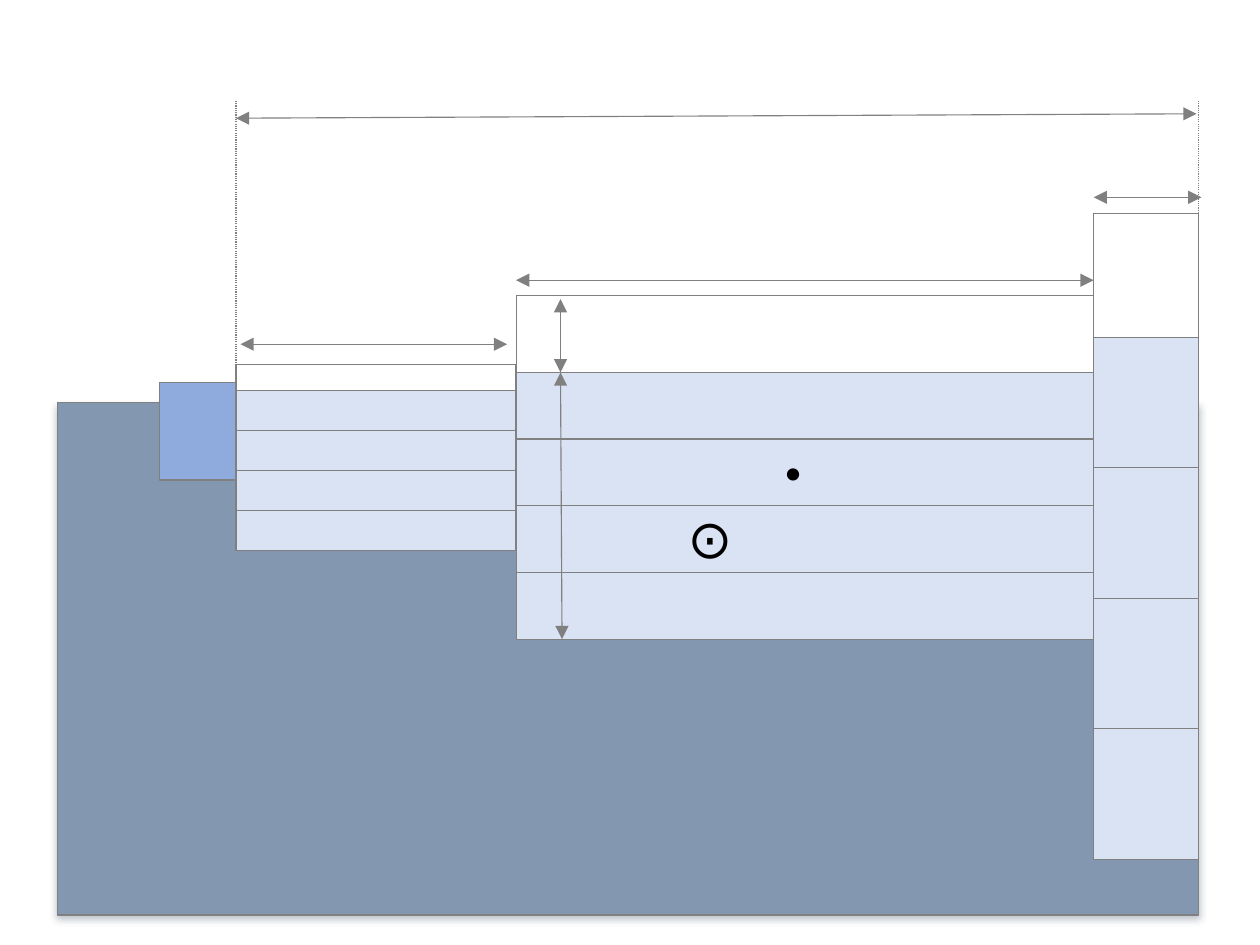
from dataclasses import dataclass

import pptx
import pptx.dml.color
import pptx.enum.dml
import pptx.enum.shapes
import pptx.enum.text
import pptx.oxml
import pptx.oxml.ns
import pptx.util

Pt = pptx.util.Pt
A_NS = pptx.oxml.ns.nsdecls("a")


@dataclass(frozen=True)
class Theme:
    ground: str = "8497B0"
    layer: str = "DAE3F3"
    inlet: str = "8FAADC"
    outline: str = "808080"
    shadow: str = "44546A"
    ink: str = "000000"
    font: str = "Calibri"
    line_width: float = 0.5
    dot_size: float = 11.9
    circled_dot_size: float = 24


@dataclass(frozen=True)
class Box:
    left: float
    top: float
    width: float
    height: float

    @property
    def right(self):
        return self.left + self.width

    @property
    def bottom(self):
        return self.top + self.height


THEME = Theme()


def rgb(color):
    return pptx.dml.color.RGBColor.from_string(color)


def add_block(slide, box, fill=None):
    block = slide.shapes.add_shape(
        pptx.enum.shapes.MSO_SHAPE.RECTANGLE,
        Pt(box.left), Pt(box.top), Pt(box.width), Pt(box.height))
    block.shadow.inherit = False
    if fill:
        block.fill.solid()
        block.fill.fore_color.rgb = rgb(fill)
    else:
        block.fill.background()
    block.line.color.rgb = rgb(THEME.outline)
    block.line.width = Pt(THEME.line_width)
    return block


def add_line(slide, start, end, arrows=True):
    """Draw a double-headed dimension, or a dotted guide without arrows."""
    line = slide.shapes.add_connector(
        pptx.enum.shapes.MSO_CONNECTOR.STRAIGHT,
        *(Pt(value) for value in (*start, *end)))
    line.line.color.rgb = rgb(THEME.outline)
    line.line.width = Pt(THEME.line_width)
    properties = line._element.spPr
    properties.append(pptx.oxml.parse_xml(f"<a:effectLst {A_NS}/>"))
    if arrows:
        outline = line.line._get_or_add_ln()
        for end_tag in ("headEnd", "tailEnd"):
            outline.append(pptx.oxml.parse_xml(
                f'<a:{end_tag} {A_NS} type="triangle"/>'))
    else:
        line.line.dash_style = pptx.enum.dml.MSO_LINE.ROUND_DOT


def add_text(slide, text, box, *, size, wrap=True):
    label = slide.shapes.add_textbox(
        Pt(box.left), Pt(box.top), Pt(box.width), Pt(box.height))
    label.text_frame.word_wrap = wrap
    label.text_frame.auto_size = pptx.enum.text.MSO_AUTO_SIZE.SHAPE_TO_FIT_TEXT
    run = label.text_frame.paragraphs[0].add_run()
    run.text = text
    run.font.name = THEME.font
    run.font.size = Pt(size)
    run.font.color.rgb = rgb(THEME.ink)


def add_ground(slide, box):
    ground = add_block(slide, box, THEME.ground)
    effects = ground._element.spPr.find(pptx.oxml.ns.qn("a:effectLst"))
    effects.append(pptx.oxml.parse_xml(
        f'<a:outerShdw {A_NS} blurRad="{Pt(3.1)}" dist="{Pt(1.8)}" '
        f'dir="5400000" rotWithShape="0"><a:srgbClr val="{THEME.shadow}">'
        '<a:alpha val="35000"/></a:srgbClr></a:outerShdw>'))


def add_column(slide, box, headspace, layers=4):
    """Stack equal layers below an open headspace."""
    step = (box.height - headspace) / layers
    for index in range(layers):
        top = box.top + headspace + index * step
        add_block(slide, Box(box.left, top, box.width, step), THEME.layer)
    add_block(slide, Box(box.left, box.top, box.width, headspace))


def add_dimensions(slide, shallow, middle, deep, headspace):
    # Widths of the three columns and of the whole section
    for column, gap, start_inset, end_inset in (
            (shallow, 9, 2, 4), (middle, 6.8, 0, 0), (deep, 7.2, 0, -1.2)):
        y = column.top - gap
        add_line(slide, (column.right - end_inset, y),
                 (column.left + start_inset, y))
    add_line(slide, (deep.right - 1, deep.top - 44.8),
             (shallow.left, deep.top - 42.8))

    # Headspace and layer depth in the middle column
    x = middle.left + 20
    surface = middle.top + headspace
    add_line(slide, (x, middle.top + 1.7), (x, surface))
    add_line(slide, (x, surface), (x + 0.7, middle.bottom))

    # Dotted guides at the outer edges
    guide_top = deep.top - 50.6
    for x, bottom in ((deep.right, deep.top), (shallow.left, shallow.top + 6)):
        add_line(slide, (x, guide_top), (x, bottom), arrows=False)


def add_symbols(slide, box):
    add_text(slide, "●", Box(box.left + 114, box.top + 68.6, 19.4, 21.6),
             size=THEME.dot_size)
    add_text(slide, "⊙", Box(box.left + 70.1, box.top + 91, 26.6, 36),
             size=THEME.circled_dot_size, wrap=False)


def build_section(slide):
    shallow = Box(106.2, 163.9, 126, 84)
    middle = Box(shallow.right, 132.9, 259.9, 154.7)
    deep = Box(middle.right, 96, 47.3, 290.6)
    middle_headspace = 34.7

    add_ground(slide, Box(25.8, 181.1, 513.6, 230.6))
    add_column(slide, deep, 55.8)
    add_column(slide, middle, middle_headspace)
    add_column(slide, shallow, 12)
    add_block(slide, Box(shallow.left - 34.5, shallow.top + 8.1, 34.5, 44),
              THEME.inlet)
    add_dimensions(slide, shallow, middle, deep, middle_headspace)
    add_symbols(slide, middle)


def main():
    deck = pptx.Presentation()
    deck.slide_width, deck.slide_height = Pt(566.93), Pt(425.2)
    build_section(deck.slides.add_slide(deck.slide_layouts[6]))
    deck.save("out.pptx")


if __name__ == "__main__":
    main()
